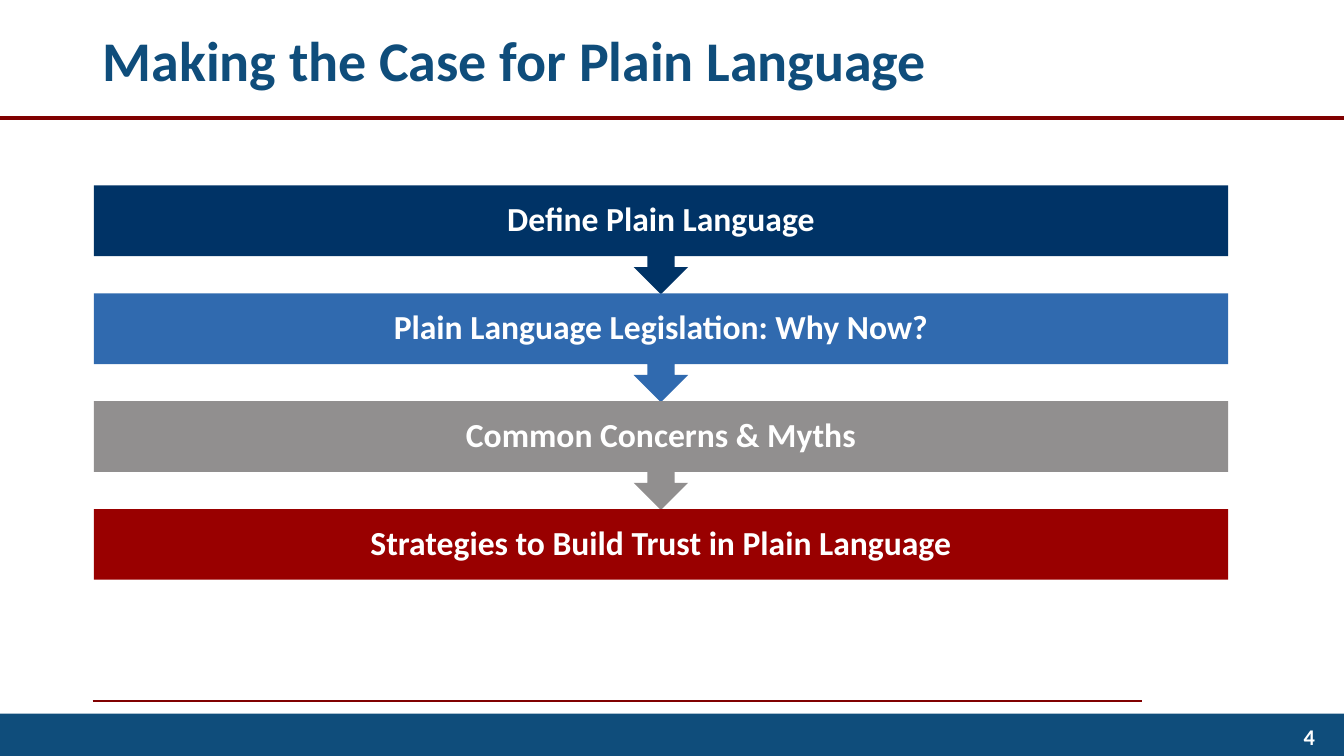
import pptx
import pptx.util
import pptx.dml.color
import pptx.enum.shapes
import pptx.enum.text
import pptx.oxml
from pptx.util import Inches

COLORS = {
    "blue": "0F4D7B",
    "maroon": "800000",
    "white": "FFFFFF",
    "navy": "003366",
    "mid_blue": "306AAF",
    "gray": "918F8F",
    "red": "990000",
}
AGENDA = [
    ("Define Plain Language", "navy"),
    ("Plain Language Legislation: Why Now?", "mid_blue"),
    ("Common Concerns & Myths", "gray"),
    ("Strategies to Build Trust in Plain Language", "red"),
]
STEP_LEFT, STEP_TOP, STEP_WIDTH = 0.93, 1.84, 11.25
STEP_PITCH, CALLOUT_HEIGHT, BAR_HEIGHT = 1.07, 1.08, 0.7

SHAPES = pptx.enum.shapes.MSO_SHAPE
ALIGN = pptx.enum.text.PP_ALIGN


def rgb(color):
    return pptx.dml.color.RGBColor.from_string(COLORS[color])


def write(frame, text, size, color, align):
    frame.text = text
    frame.word_wrap = True
    frame.vertical_anchor = pptx.enum.text.MSO_ANCHOR.MIDDLE
    paragraph = frame.paragraphs[0]
    paragraph.alignment = align
    font = paragraph.runs[0].font
    font.name, font.size, font.bold = "Calibri", pptx.util.Pt(size), True
    font.color.rgb = rgb(color)


def add_rule(slide, left, right, y, weight):
    rule = slide.shapes.add_connector(
        pptx.enum.shapes.MSO_CONNECTOR.STRAIGHT,
        Inches(left), Inches(y), Inches(right), Inches(y))
    rule.line.color.rgb = rgb("maroon")
    rule.line.width = pptx.util.Pt(weight)
    rule._element.spPr.append(pptx.oxml.parse_xml(
        '<a:effectLst xmlns:a='
        '"http://schemas.openxmlformats.org/drawingml/2006/main"/>'))


def add_block(slide, preset, left, top, width, height, color):
    block = slide.shapes.add_shape(
        preset, Inches(left), Inches(top), Inches(width), Inches(height))
    block.shadow.inherit = False
    block.fill.solid()
    block.fill.fore_color.rgb = rgb(color)
    block.line.fill.background()
    return block


def add_title(slide, text):
    title = slide.shapes.title
    title.left, title.top = Inches(0.92), Inches(0)
    title.width, title.height = Inches(11.5), Inches(1.17)
    write(title.text_frame, text, 40, "blue", ALIGN.LEFT)


def add_page_number(slide, number):
    page_number = slide.shapes.add_textbox(
        Inches(10.14), Inches(7.1), Inches(3), Inches(0.42))
    write(page_number.text_frame, number, 16, "white", ALIGN.RIGHT)


def add_agenda(slide):
    for index, (topic, color) in enumerate(AGENDA):
        is_last = index == len(AGENDA) - 1
        step = add_block(
            slide,
            SHAPES.RECTANGLE if is_last else SHAPES.DOWN_ARROW_CALLOUT,
            STEP_LEFT, STEP_TOP + index * STEP_PITCH, STEP_WIDTH,
            BAR_HEIGHT if is_last else CALLOUT_HEIGHT, color)
        write(step.text_frame, topic, 24, "white", ALIGN.CENTER)
        step.text_frame.paragraphs[0].line_spacing = 0.9


def main():
    deck = pptx.Presentation()
    deck.slide_width, deck.slide_height = Inches(13.33), Inches(7.5)
    slide = deck.slides.add_slide(deck.slide_layouts.get_by_name("Title Only"))

    # Header and footer
    add_rule(slide, 0.92, 11.33, 6.95, 1.5)
    add_block(slide, SHAPES.RECTANGLE, 0, 7.08, 13.33, 0.42, "blue")
    add_rule(slide, 0, 13.33, 1.17, 3)
    add_title(slide, "Making the Case for Plain Language")
    add_page_number(slide, "4")

    # Agenda steps
    add_agenda(slide)

    deck.save("out.pptx")


if __name__ == "__main__":
    main()
